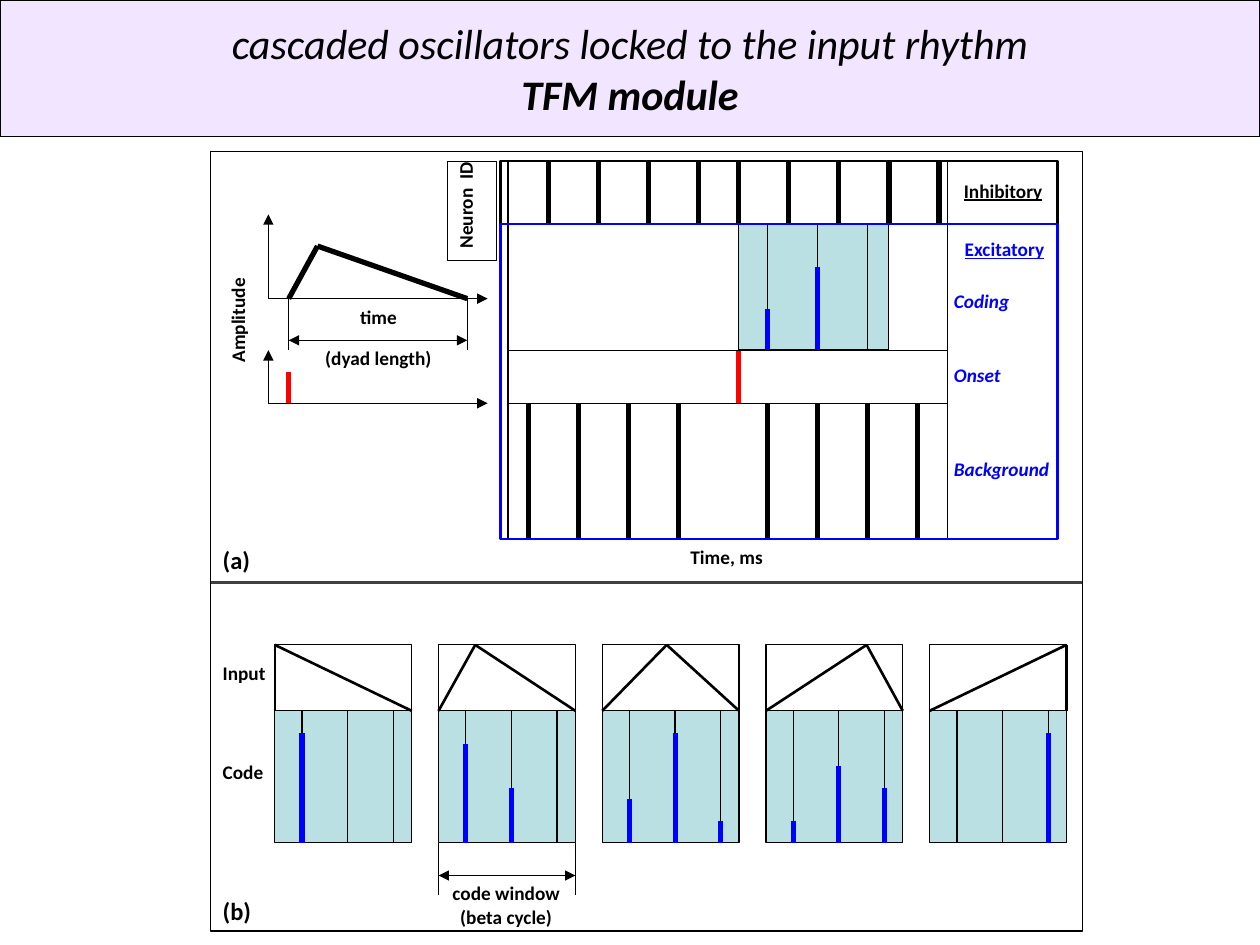
from collections import namedtuple

from lxml import etree
from pptx import Presentation
from pptx import util as u
from pptx.dml import color
from pptx.enum import shapes, text
from pptx.oxml import ns

COLORS = {"black": "000000", "white": "FFFFFF", "blue": "0000FF", "red": "FF0000",
          "teal": "BBE0E3", "gray": "404040", "violet": "8000FF"}
Box = namedtuple("Box", "left top width height")
LABEL = {"name": "Calibri", "size": u.Pt(11), "bold": True}
PANEL = {**LABEL, "size": u.Pt(14)}
ROW = {**LABEL, "italic": True}
HEADING = {**LABEL, "underline": True}
THIN, OUTLINE, BAR = 0.75, 1.5, 3


def rgb(name):
    return color.RGBColor.from_string(COLORS[name])


def add_xml(parent, tag, **values):
    return etree.SubElement(parent, ns.qn(tag), values)


def add_line(page, box, start, end, ink="black", width=THIN, arrows=()):
    ends = [u.Cm(origin + offset) for spot in (start, end)
            for origin, offset in zip((box.left, box.top), spot)]
    line = page.shapes.add_connector(shapes.MSO_CONNECTOR.STRAIGHT, *ends)
    line.line.color.rgb = rgb(ink)
    line.line.width = u.Pt(width)
    outline = line.line._get_or_add_ln()
    for side in arrows:
        add_xml(outline, f"a:{side}", type="triangle")
    add_xml(line._element.spPr, "a:effectLst")
    return line


def add_bars(page, box, positions, top, bottom, ink="black", width=BAR):
    for x in positions:
        add_line(page, box, (x, top), (x, bottom), ink, width)


def add_box(page, box, x, y, width, height, fill=None, ink="black", weight=THIN):
    shape = page.shapes.add_shape(
        shapes.MSO_SHAPE.RECTANGLE, u.Cm(box.left + x), u.Cm(box.top + y),
        u.Cm(width), u.Cm(height))
    shape.shadow.inherit = False
    if fill:
        shape.fill.solid()
        shape.fill.fore_color.rgb = rgb(fill)
    else:
        shape.fill.background()
    shape.line.color.rgb = rgb(ink)
    shape.line.width = u.Pt(weight)
    return shape


def write(frame, lines, formats, ink="black", align=text.PP_ALIGN.LEFT, spacing=None):
    for index, (words, style) in enumerate(zip(lines, formats)):
        para = frame.paragraphs[0] if index == 0 else frame.add_paragraph()
        para.alignment = align
        para.line_spacing = spacing
        span = para.add_run()
        span.text = words
        span.font.color.rgb = rgb(ink)
        for name, value in style.items():
            setattr(span.font, name, value)


def add_label(page, box, x, y, width, words, style=LABEL, height=0.74, wrap=True, **options):
    label = page.shapes.add_textbox(
        u.Cm(box.left + x), u.Cm(box.top + y), u.Cm(width), u.Cm(height))
    label.text_frame.word_wrap = wrap
    label.text_frame.auto_size = text.MSO_AUTO_SIZE.SHAPE_TO_FIT_TEXT
    lines = words.split("\n")
    write(label.text_frame, lines, [style] * len(lines), **options)
    return label


def build_title(page, box):
    title = page.shapes.title
    for name, value in box._asdict().items():
        setattr(title, name, u.Cm(value))
    title.fill.solid()
    title.fill.fore_color.rgb = rgb("violet")
    tint = title._element.spPr.find(".//" + ns.qn("a:srgbClr"))
    add_xml(tint, "a:alpha", val="10000")
    title.line.color.rgb = rgb("black")
    title.line.width = u.Pt(THIN)
    frame = title.text_frame
    frame.vertical_anchor = text.MSO_ANCHOR.MIDDLE
    frame.auto_size = text.MSO_AUTO_SIZE.NONE
    style = {"name": "Calibri", "size": u.Pt(24), "italic": True, "bold": False}
    write(frame, ["cascaded oscillators locked to the input rhythm", "TFM module"],
          [style, {**style, "bold": True}], align=text.PP_ALIGN.CENTER)


def build_frame(page, box):
    divider = 8.69
    add_line(page, box, (0, divider), (box.width, divider), "gray", 2)
    for words, y in (("(a)", 7.82), ("(b)", 14.88)):
        add_label(page, box, 0, y, 1.08, words, PANEL, 0.86, wrap=False)
    add_box(page, box, 0, 0, box.width, box.height)


def build_raster(page, box):
    inhibitory, coding, onset, bottom = 1.27, 3.81, 4.88, box.height
    step, start = 1.01, 4.65
    window = [5.23 + step * i for i in range(3)]
    raster = add_box(page, box, 0, 0, box.width, bottom, "white")
    add_bars(page, box, [0.81 + step * i for i in range(4)], 0, inhibitory)
    add_bars(page, box, [start + step * i for i in range(5)], 0, inhibitory)
    add_bars(page, box, [0.41 + step * i for i in range(4)], onset, bottom)
    add_bars(page, box, [5.23 + step * i for i in range(4)], onset, bottom)
    add_bars(page, box, [start], coding, onset, "red")

    add_box(page, box, start, inhibitory, 3.02, coding - inhibitory, "teal")
    add_bars(page, box, window, inhibitory, coding, width=THIN)
    for x, top in zip(window, (2.97, 2.13)):
        add_bars(page, box, [x], top, coding, "blue")

    for y in (inhibitory, coding, onset, bottom):
        rule = add_line(page, box, (0, y), (box.width, y))
        if y == coding:
            rule.begin_connect(raster, 1)
            rule.end_connect(raster, 3)

    add_label(page, box, 8.94, 0.23, 2.21, "Inhibitory", HEADING)
    add_label(page, box, 8.74, 1.5, 2.54, "Excitatory", HEADING, 0.66,
              ink="blue", align=text.PP_ALIGN.CENTER, spacing=0.8)
    for words, y, width in (("Coding", 2.54, 1.8), ("Onset", 4.04, 1.6),
                            ("Background", 5.94, 2.62)):
        add_label(page, box, 8.74, y, width, words, ROW, 0.66, ink="blue", spacing=0.8)
    add_label(page, box, 3.43, bottom, 3.23, "Time, ms")
    add_box(page, box, -0.15, 0, 11.23, inhibitory, weight=OUTLINE)
    add_box(page, box, -0.15, inhibitory, 11.23, bottom - inhibitory,
            ink="blue", weight=OUTLINE)


def build_input(page, box):
    base, pulse_base = 1.7, box.height
    start, peak, end = (0.41, base), (0.99, 0.64), (4.01, base)
    add_line(page, box, peak, end, width=BAR)
    add_line(page, box, start, peak, width=BAR)
    for floor, top in ((base, 0), (pulse_base, 2.74)):
        for tip in ((box.width, floor), (0, top)):
            add_line(page, box, (0, floor), tip, arrows=["tailEnd"])
    add_bars(page, box, (start[0], end[0]), base, 2.74, width=0.25)
    add_line(page, box, (start[0], 2.54), (end[0], 2.54), width=0.25,
             arrows=["headEnd", "tailEnd"])
    add_bars(page, box, [start[0]], pulse_base, 3.18, "red")
    add_label(page, box, 1.6, base, 1.27, "time", wrap=False)
    add_label(page, box, 0.81, 2.54, 2.82, "(dyad length)", align=text.PP_ALIGN.CENTER)
    amplitude = add_label(page, box, -1.73, 1.75, 2.24, "Amplitude", wrap=False)
    amplitude.rotation = 270

    neuron = add_box(page, box, 3.61, -1.07, 0.99, 2.01)
    neuron.text_frame.word_wrap = False
    neuron.text_frame.vertical_anchor = text.MSO_ANCHOR.TOP
    neuron.text_frame._txBody.bodyPr.set("vert", "vert270")
    write(neuron.text_frame, ["Neuron  ID"], [LABEL])


def build_tile(page, box, peak, levels):
    middle = 1.33
    depth = box.height - middle
    add_box(page, box, 0, 0, box.width, middle, "white")
    add_box(page, box, 0, middle, box.width, depth, "teal")
    add_line(page, box, (0, middle), (peak, 0), width=OUTLINE)
    add_line(page, box, (peak, 0), (box.width, middle), width=OUTLINE)
    for index, level in enumerate(levels):
        x = 0.55 + 0.92 * index
        add_bars(page, box, [x], middle, box.height, width=THIN)
        if level:
            add_bars(page, box, [x], box.height - depth * level / 12, box.height, "blue")


def build_codes(page, box):
    tiles = ((0, (10, 0, 0)), (0.74, (9, 5, 0)), (1.3, (4, 10, 2)),
             (2.03, (2, 7, 5)), (2.76, (0, 0, 10)))
    width, pitch = 2.76, 3.3
    for index, (peak, levels) in enumerate(tiles):
        tile = Box(box.left + pitch * index, box.top, width, box.height)
        build_tile(page, tile, peak, levels)
    add_label(page, box, -1.3, 0.2, 1.37, "Input")
    add_label(page, box, -1.3, 2.21, 1.47, "Code")
    add_bars(page, box, (pitch, pitch + width), box.height, 5.05, width=THIN)
    add_line(page, box, (pitch, 4.65), (pitch + width, 4.65),
             arrows=["headEnd", "tailEnd"])
    add_label(page, box, 3.23, 4.65, 2.87, "code window\n(beta cycle)",
              height=1.19, align=text.PP_ALIGN.CENTER)


def main():
    deck = Presentation()
    deck.slide_width, deck.slide_height = u.Cm(25.4), u.Cm(19.05)
    page = deck.slides.add_slide(deck.slide_layouts[5])
    build_title(page, Box(0, 0, 25.4, 2.75))
    build_codes(page, Box(5.54, 13, 15.96, 3.99))
    build_frame(page, Box(4.24, 3.05, 17.58, 15.72))
    build_raster(page, Box(10.24, 3.25, 8.86, 7.62))
    build_input(page, Box(5.41, 4.32, 4.42, 3.81))
    deck.save("out.pptx")


if __name__ == "__main__":
    main()
